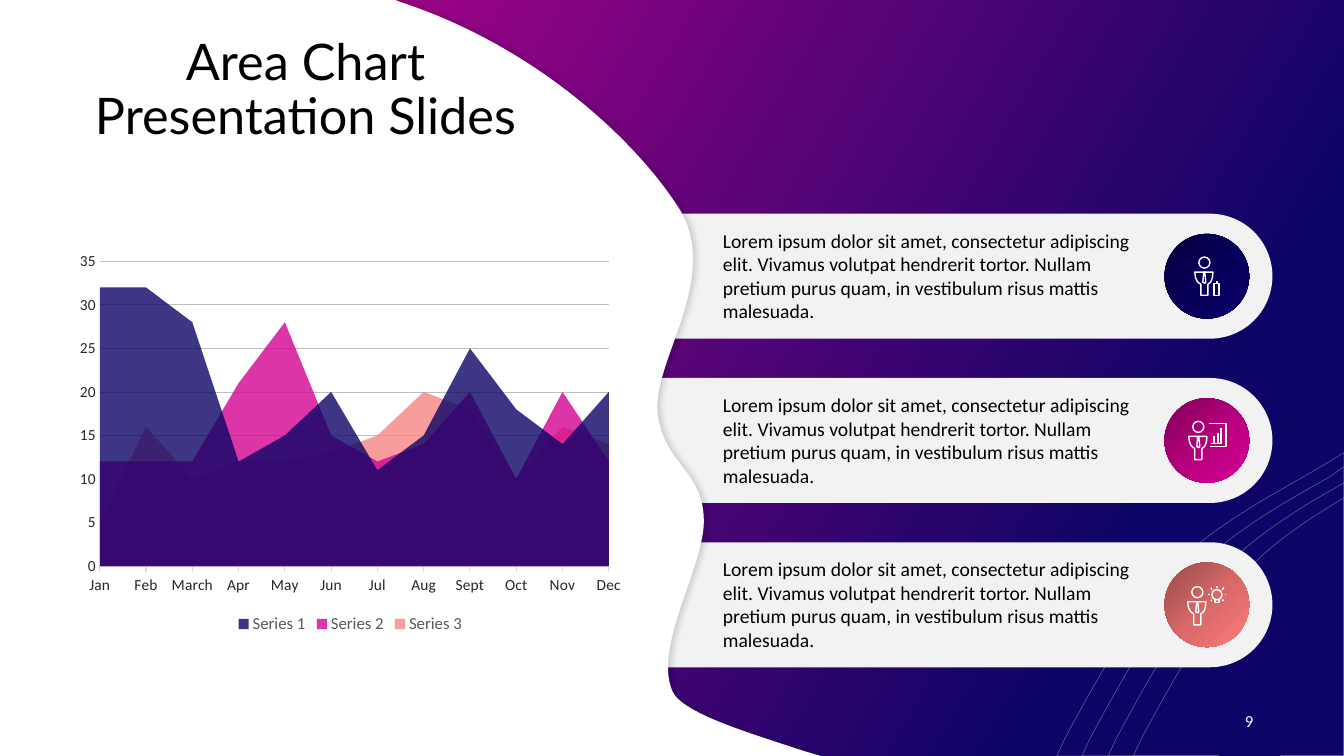
from copy import deepcopy

from lxml.etree import SubElement
from pptx import Presentation
from pptx.chart.data import CategoryChartData
from pptx.dml.color import RGBColor
from pptx.enum.chart import XL_CHART_TYPE as ChartType, XL_LEGEND_POSITION as LegendPosition
from pptx.enum.chart import XL_TICK_MARK as TickMark
from pptx.enum.shapes import MSO_CONNECTOR as Connector, MSO_SHAPE as Preset
from pptx.enum.text import MSO_ANCHOR as Anchor, MSO_AUTO_SIZE as AutoSize, PP_ALIGN as Align
from pptx.oxml.ns import qn
from pptx.util import Emu, Pt

EMU_PER_PX = 9144
WIDTH, HEIGHT = 1333, 750
NAVY, MAGENTA, SALMON, WHITE = "0C0466", "D30392", "F78484", "FFFFFF"
LOREM = ("Lorem ipsum dolor sit amet, consectetur adipiscing elit. Vivamus volutpat hendrerit "
         "tortor. Nullam pretium purus quam, in vestibulum risus mattis malesuada.")
MONTHS = ["Jan", "Feb", "March", "Apr", "May", "Jun", "Jul", "Aug", "Sept", "Oct", "Nov", "Dec"]
SERIES = [
    ("Series 1", NAVY, [32, 32, 28, 12, 15, 20, 11, 15, 25, 18, 14, 20]),
    ("Series 2", MAGENTA, [12, 12, 12, 21, 28, 15, 12, 14, 20, 10, 20, 12]),
    ("Series 3", SALMON, [5, 16, 10, 12, 12, 13, 15, 20, 18, 10, 16, 14]),
]
WAVES = [
    (1099, 234, 271, (116, -196, 158, -225, 201, -252)),
    (1124, 209, 256, (116, -196, 158, -225, 202, -252)),
    (1048, 285, 301, (129, -217, 203, -252, 267, -290)),
    (1073, 260, 287, (125, -210, 188, -244, 246, -277)),
]
PANEL = [
    (0, 0), (392, 0), (397, 2), (531, 46, 630, 139, 673, 206), (716, 274, 648, 357, 652, 408),
    (657, 459, 696, 466, 698, 513), (701, 559, 647, 640, 667, 686),
    (677, 708, 746, 728, 797, 745), (814, 750), (0, 750),
]
BODY = [(18, 0), (0, 0), (0, 7, 3, 11, 6, 12), (6, 23), (13, 23), (13, 12), (16, 11, 18, 7, 18, 0)]
TIE = [(2, 0), (1, 0), (0, 10), (2, 11), (3, 10)]


def px(*lengths):
    """Turn px lengths into EMU."""
    return [Emu(length * EMU_PER_PX) for length in lengths]


def color(value):
    """Turn a hex string into a colour."""
    return RGBColor.from_string(value)


def set_alpha(element, percent):
    """Make the first plain colour inside an element translucent."""
    SubElement(next(element.iter(qn("a:srgbClr"))), qn("a:alpha"), val=str(percent * 1000))


def set_gradient(fill, owner, stops, angle):
    """Give a fill linear gradient stops, with a clockwise angle."""
    fill.gradient()
    fill.gradient_angle = 360 - angle
    stop_list = next(owner.iter(qn("a:gsLst")))
    for _ in stops[2:]:
        stop_list.append(deepcopy(stop_list[-1]))
    for stop, (position, value) in zip(fill.gradient_stops, stops):
        stop.position = position
        stop.color.rgb = color(value)


def set_font(font, size, value, name="Calibri"):
    """Set size, colour and typeface of a font."""
    font.size, font.name = Pt(size), name
    font.color.rgb = color(value)


def paint(shape, fill=None, line=None, width=1):
    """Set a shape's fill and line and drop its shadow."""
    shape.shadow.inherit = False
    if fill:
        shape.fill.solid()
        shape.fill.fore_color.rgb = color(fill)
    else:
        shape.fill.background()
    if line:
        shape.line.color.rgb = color(line)
        shape.line.width = Pt(width)
    else:
        shape.line.fill.background()


def add_preset(slide, preset, box, **style):
    """Add a painted preset shape."""
    shape = slide.shapes.add_shape(preset, *px(*box))
    paint(shape, **style)
    return shape


def add_outline(slide, left, top, steps, closed=True, **style):
    """Draw an outline of points and Bezier curves from a corner."""
    corners = [px(left + step[i], top + step[i + 1])
               for step in steps for i in range(0, len(step), 2)]
    builder = slide.shapes.build_freeform(*corners[0])
    builder.add_line_segments(corners[1:], close=closed)
    shape = builder.convert_to_shape()
    segments = iter(list(shape._element.iter(qn("a:lnTo"))))
    for step in steps[1:]:
        parts = [next(segments) for _ in range(len(step) // 2)]
        if len(parts) == 3:
            curve = SubElement(parts[0].getparent(), qn("a:cubicBezTo"))
            parts[0].addprevious(curve)
            for part in parts:
                curve.append(part[0])
                part.getparent().remove(part)
    paint(shape, **style)
    return shape


def add_strokes(slide, left, top, strokes):
    """Draw thin white lines relative to a corner."""
    for x1, y1, x2, y2 in strokes:
        ends = px(left + x1, top + y1, left + x2, top + y2)
        connector = slide.shapes.add_connector(Connector.STRAIGHT, *ends)
        connector.line.color.rgb = color(WHITE)
        connector.line.width = Pt(1)
        SubElement(connector._element.spPr, qn("a:effectLst"))


def add_person(slide, left, top):
    """Draw the line figure shared by the icons."""
    add_preset(slide, Preset.OVAL, (left + 4, top, 11, 11), line=WHITE)
    add_outline(slide, left, top + 15, BODY, line=WHITE)
    add_outline(slide, left + 8, top + 15, TIE, line=WHITE)


def add_briefcase_icon(slide, left, top):
    """Draw a person with a briefcase."""
    add_person(slide, left + 29, top + 22)
    add_outline(slide, left + 48, top + 48, [(0, 0), (5, 0), (5, 12), (0, 12)], line=WHITE)
    add_strokes(slide, left, top, [(51, 48, 51, 46)])


def add_board_icon(slide, left, top):
    """Draw a person beside a chart board."""
    add_person(slide, left + 23, top + 22)
    add_outline(slide, left + 43, top + 24, [(1, 23), (17, 23), (17, 0), (0, 0)],
                closed=False, line=WHITE)
    bars = [(48, 44, 48, 37), (52, 44, 52, 34), (55, 44, 55, 29)]
    add_strokes(slide, left, top, [(45, 44, 55, 44)] + bars)


def add_bulb_icon(slide, left, top):
    """Draw a person beside a shining bulb."""
    add_person(slide, left + 22, top + 23)
    add_outline(slide, left + 49, top + 35, [(4, 0), (4, 4), (0, 4), (0, 0)],
                closed=False, line=WHITE)
    add_preset(slide, Preset.OVAL, (left + 46, top + 26, 10, 10), line=WHITE)
    add_strokes(slide, left, top, [
        (51, 22, 51, 24), (58, 24, 56, 26), (60, 31, 59, 31), (58, 37, 56, 36),
        (45, 37, 46, 36), (42, 31, 44, 31), (45, 24, 46, 26)])


def add_card(slide, left, top, shades, add_icon):
    """Add one rounded card with its text and icon."""
    card = add_preset(slide, Preset.ROUNDED_RECTANGLE, (left, top, 672, 124), fill="F2F2F2")
    card.adjustments[0] = 0.5
    disc = add_preset(slide, Preset.OVAL, (left + 565, top + 20, 84, 84))
    set_gradient(disc.fill, disc._element, list(zip((0, 0.5, 1), shades)), 45)
    add_text(slide, (left + 127, top + 14, 413, 95), LOREM, 14, "000000", Align.LEFT)
    add_icon(slide, left + 566, top + 21)


def add_text(slide, box, text, size, value, alignment):
    """Add a wrapped, vertically centred text box."""
    frame = slide.shapes.add_textbox(*px(*box)).text_frame
    frame.word_wrap, frame.vertical_anchor = True, Anchor.MIDDLE
    frame.margin_left = frame.margin_right = frame.margin_top = frame.margin_bottom = 0
    frame.text = text
    frame.paragraphs[0].alignment = alignment
    set_font(frame.paragraphs[0].runs[0].font, size, value)


def add_waves(slide, bottom):
    """Draw the faint curved lines in the lower right corner."""
    for left, width, height, crest in WAVES:
        steps = [(width, -height), (width, 0), (0, 0), (8, -17), (36, -70, 65, -118, 88, -153), crest]
        wave = add_outline(slide, left, bottom, steps, line="BFBFBF", width=0.5)
        set_alpha(wave._element.spPr, 40)


def add_panel(slide, left, top):
    """Add the white curved panel with its soft shadow."""
    panel = add_outline(slide, left, top, PANEL, fill=WHITE)
    effects = panel._element.spPr.find(qn("a:effectLst"))
    shadow = SubElement(effects, qn("a:outerShdw"), blurRad=str(Pt(4)), dist=str(Pt(3)),
                        dir="0", algn="l", rotWithShape="0")
    SubElement(shadow, qn("a:srgbClr"), val="000000")
    set_alpha(shadow, 15)


def place_title(slide, box, text):
    """Place the title placeholder above the panel."""
    title = slide.shapes.title
    slide.shapes._spTree.append(title._element)
    title.left, title.top, title.width, title.height = px(*box)
    frame = title.text_frame
    frame.text = text
    frame.word_wrap, frame.auto_size, frame.vertical_anchor = True, AutoSize.NONE, Anchor.MIDDLE
    paragraph = frame.paragraphs[0]
    paragraph.alignment, paragraph.line_spacing = Align.CENTER, 0.9
    set_font(paragraph.runs[0].font, 36, "000000", "Lato")


def add_area_chart(slide, box):
    """Add the translucent monthly area chart."""
    data = CategoryChartData()
    data.categories = MONTHS
    for name, _, values in SERIES:
        data.add_series(name, values)
    chart = slide.shapes.add_chart(ChartType.AREA, *px(*box), data).chart
    chart.has_title = False
    set_font(chart.font, 10, "000000")
    chart.has_legend = True
    chart.legend.position, chart.legend.include_in_layout = LegendPosition.BOTTOM, False
    set_font(chart.legend.font, 12, "595959")
    chart.plots[0].vary_by_categories = False
    for series, (_, value, _) in zip(chart.plots[0].series, SERIES):
        series.format.fill.solid()
        series.format.fill.fore_color.rgb = color(value)
        series.format.line.fill.background()
        set_alpha(series._element, 80)
    months, amounts = chart.category_axis, chart.value_axis
    for axis in (months, amounts):
        set_font(axis.tick_labels.font, 11, "262626")
    months.has_major_gridlines = False
    months.major_tick_mark = TickMark.OUTSIDE
    months.format.line.color.rgb = color("D9D9D9")
    months.format.line.width = Pt(0.75)
    amounts.minimum_scale, amounts.maximum_scale, amounts.major_unit = 0, 35, 5
    amounts.major_tick_mark = TickMark.NONE
    amounts.format.line.fill.background()
    amounts.major_gridlines.format.line.color.rgb = color("BFBFBF")
    amounts.major_gridlines.format.line.width = Pt(0.5)


def main():
    """Build and save the slide."""
    presentation = Presentation()
    presentation.slide_width, presentation.slide_height = px(WIDTH, HEIGHT)
    slide = presentation.slides.add_slide(presentation.slide_layouts[5])
    set_gradient(slide.background.fill, slide._element, [(0, MAGENTA), (0.81, NAVY)], 30)
    add_waves(slide, HEIGHT)
    cards = [(("05003F", "070059", "09006A"), add_briefcase_icon),
             (("7F0057", "B4007C", "D60093"), add_board_icon),
             (("974949", "D76868", "FF7C7C"), add_bulb_icon)]
    for row, (shades, add_icon) in enumerate(cards):
        add_card(slide, 590, 212 + 163 * row, shades, add_icon)
    add_panel(slide, 0, 0)
    place_title(slide, (71, 44, 464, 93), "Area Chart Presentation Slides")
    add_text(slide, (1216, 695, 46, 40), "9", 12, WHITE, Align.CENTER)
    add_area_chart(slide, (68, 242, 559, 391))
    tab = add_preset(slide, Preset.ROUND_2_SAME_RECTANGLE, (1209, 735, 61, 15), fill=NAVY)
    tab.adjustments[0] = 0.5
    presentation.save("out.pptx")


if __name__ == "__main__":
    main()
